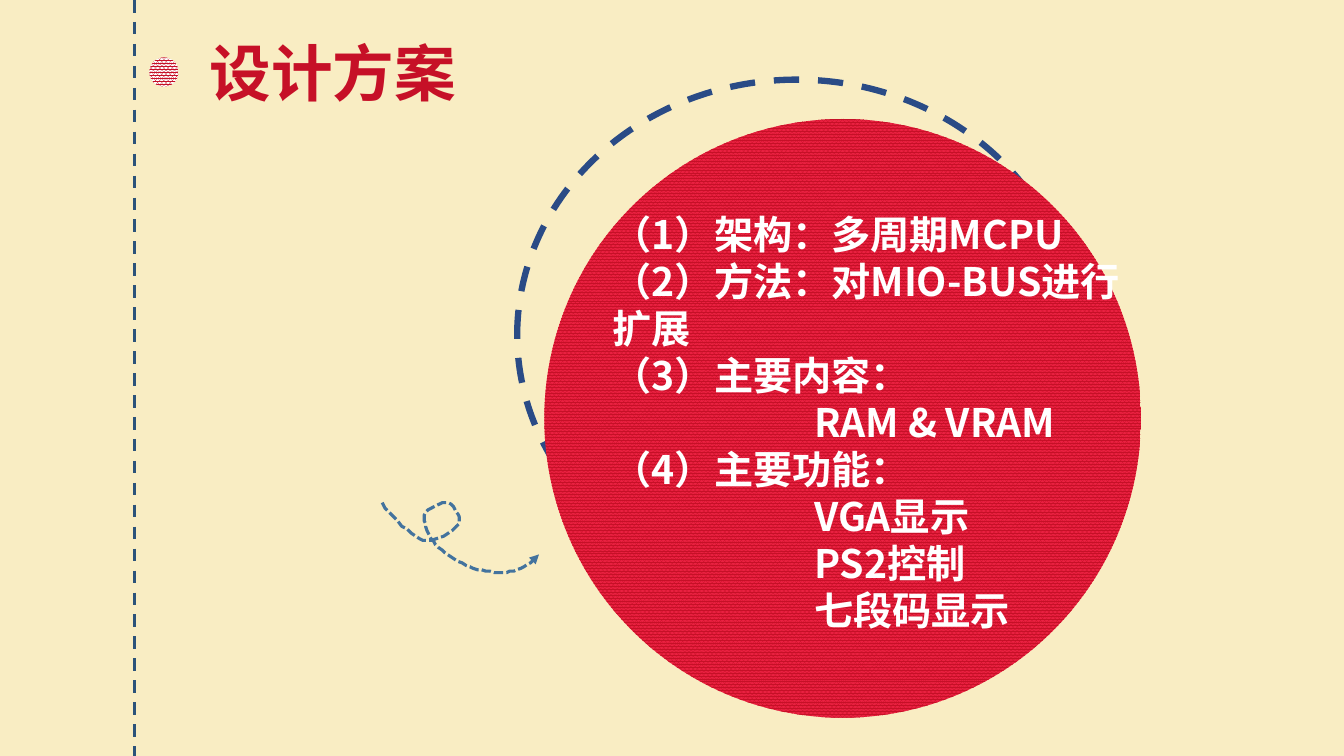
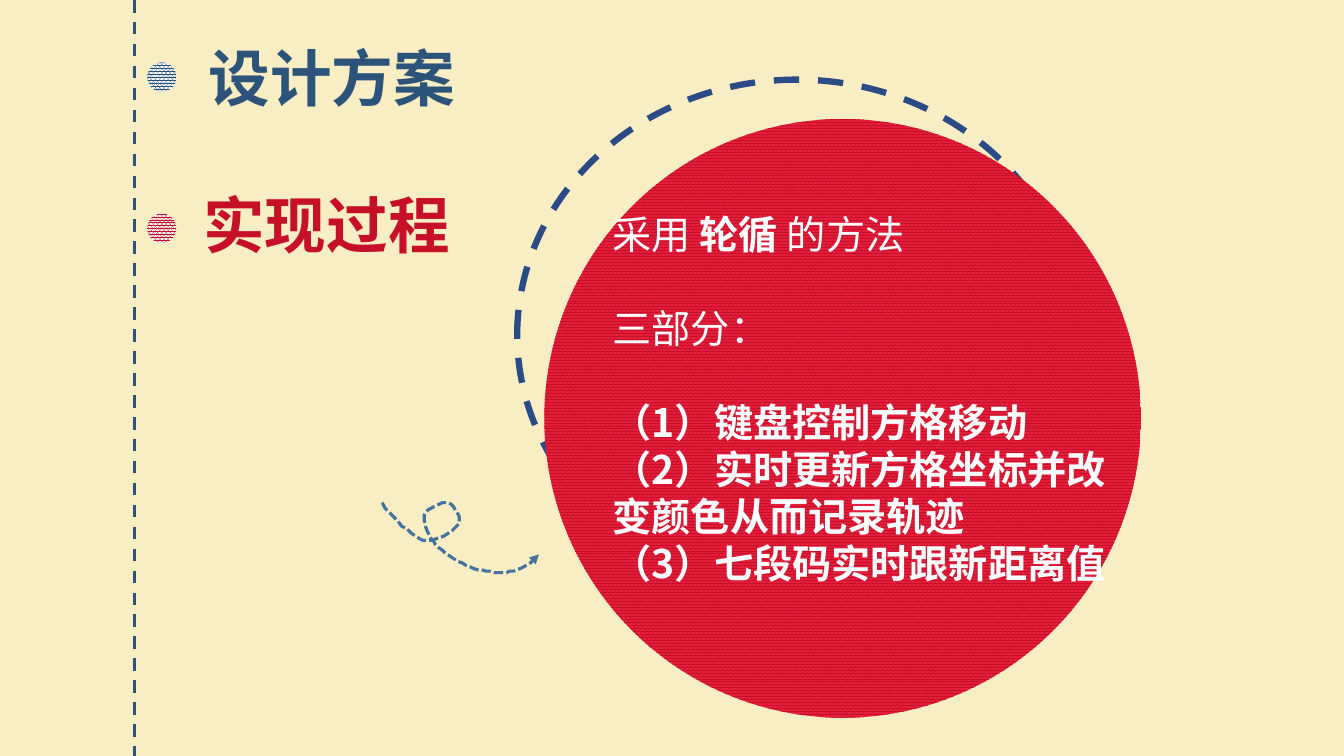
from pptx import Presentation
from pptx.dml.color import RGBColor
from pptx.enum import dml, shapes, text
from pptx.oxml import ns
from pptx.util import Pt
from lxml import etree

COLOURS = {
    "cream": "F9EDC3", "white": "FFFFFF", "crimson": "C61027",
    "scarlet": "EA2141", "navy": "2C537A", "ring": "2A4B86", "swirl": "43739E",
}
FONT = "Noto Sans CJK SC"
LINE_HEIGHT = 1.2
BODY_SIZE = 28
TITLE_SIZE = 44
SUB_INDENT = 144
DASH = dml.MSO_LINE.DASH
SWIRL_START = (272.9, 359.3)
SWIRL_CURVES = [
    [(280.8, 370.1), (293.8, 383), (302.4, 385.9)],
    [(311.8, 388.1), (324.7, 378.7), (327.6, 374.4)],
    [(330.5, 369.4), (324, 360.7), (320.4, 359.3)],
    [(316.8, 357.8), (306, 362.2), (303.8, 366.5)],
    [(302.4, 371.5), (304.6, 380.9), (309.6, 387.4)],
    [(314.6, 393.8), (326.2, 401.8), (335.5, 404.6)],
    [(344.2, 408.2), (356.4, 409.7), (364.3, 408.2)],
    [(373, 406.8), (381.6, 400.3), (385.2, 396)],
]


def rgb(name):
    """Return the named colour."""
    return RGBColor.from_string(COLOURS[name])


def style_line(line, colour, width, dash):
    """Give a line its colour, width and dash."""
    line.color.rgb = rgb(colour)
    line.width = Pt(width)
    line.dash_style = dash


def add_guide(page):
    """Draw the dashed vertical line at the left."""
    guide = page.shapes.add_connector(
        shapes.MSO_CONNECTOR.STRAIGHT, Pt(96), Pt(0), Pt(96), Pt(540))
    style_line(guide.line, "navy", 2.25, DASH)
    etree.SubElement(guide._element.spPr, ns.qn("a:effectLst"))


def add_circle(page, left, top, width, height):
    """Add a plain ellipse without a shadow."""
    circle = page.shapes.add_shape(
        shapes.MSO_SHAPE.OVAL, Pt(left), Pt(top), Pt(width), Pt(height))
    circle.shadow.inherit = False
    return circle


def add_woven_circle(page, left, top, width, height, front, back):
    """Add an ellipse with a dense two-colour pattern."""
    circle = add_circle(page, left, top, width, height)
    circle.line.fill.background()
    circle.fill.patterned()
    circle.fill.pattern = dml.MSO_PATTERN.PERCENT_80
    circle.fill.fore_color.rgb = rgb(front)
    circle.fill.back_color.rgb = rgb(back)


def add_ring(page):
    """Add the dashed ring behind the disc."""
    ring = add_circle(page, 369.4, 56.9, 399.6, 365)
    ring.fill.background()
    style_line(ring.line, "ring", 4.5, DASH)


def curve_points(start, curves, steps=10):
    """Return points along a chain of cubic curves."""
    points = []
    for first, second, end in curves:
        for step in range(1, steps + 1):
            t = step / steps
            weights = ((1 - t) ** 3, 3 * t * (1 - t) ** 2, 3 * t * t * (1 - t), t ** 3)
            corners = (start, first, second, end)
            points.append(tuple(
                sum(w * corner[axis] for w, corner in zip(weights, corners))
                for axis in (0, 1)))
        start = end
    return points


def add_swirl(page):
    """Add the looping dashed arrow."""
    builder = page.shapes.build_freeform(*SWIRL_START, scale=Pt(1))
    builder.add_line_segments(curve_points(SWIRL_START, SWIRL_CURVES), close=False)
    swirl = builder.convert_to_shape()
    swirl.shadow.inherit = False
    swirl.fill.background()
    style_line(swirl.line, "swirl", 2.25, dml.MSO_LINE.SQUARE_DOT)
    outline = swirl._element.spPr.find(ns.qn("a:ln"))
    outline.find(ns.qn("a:prstDash")).set("val", "sysDash")
    etree.SubElement(outline, ns.qn("a:tailEnd"), type="triangle")


def add_textbox(page, left, top, width, height):
    """Add a wrapping text box and return its text frame."""
    box = page.shapes.add_textbox(Pt(left), Pt(top), Pt(width), Pt(height))
    frame = box.text_frame
    frame.word_wrap = True
    frame.auto_size = text.MSO_AUTO_SIZE.SHAPE_TO_FIT_TEXT
    return frame


def add_span(para, words, size, colour, bold):
    """Add one run, with the same font for Latin and Chinese."""
    span = para.add_run()
    span.text = words
    span.font.size = Pt(size)
    span.font.bold = bold
    span.font.color.rgb = rgb(colour)
    span.font.name = FONT
    etree.SubElement(span.font._element, ns.qn("a:ea"), typeface=FONT)


def add_heading(page, words, colour, left, top, dot_left, dot_top):
    """Add a section title and its woven dot."""
    para = add_textbox(page, left, top, 229, 60.5).paragraphs[0]
    para.line_spacing = Pt(TITLE_SIZE * LINE_HEIGHT)
    add_span(para, words, TITLE_SIZE, colour, True)
    add_woven_circle(page, dot_left, dot_top, 21, 21, colour, "white")


def add_body(page, height, lines):
    """Fill the disc with lines of (spans, gap before, indent)."""
    frame = add_textbox(page, 430.6, 146.9, 393.1, height)
    for index, (spans, gap, indent) in enumerate(lines):
        para = frame.add_paragraph() if index else frame.paragraphs[0]
        para.line_spacing = Pt(BODY_SIZE * LINE_HEIGHT)
        para.space_before = Pt(gap)
        para._p.get_or_add_pPr().set("marL", str(Pt(indent)))
        for words, bold in spans:
            add_span(para, words, BODY_SIZE, "white", bold)


def item(words, bold=True, gap=0, indent=0):
    """Describe a body line of a single run."""
    return [(words, bold)], gap, indent


def add_page(deck):
    """Add a page with the guide, ring, swirl and disc."""
    page = deck.slides.add_slide(deck.slide_layouts[6])
    add_guide(page)
    add_ring(page)
    add_swirl(page)
    add_woven_circle(page, 388.8, 85, 426.2, 427.7, "crimson", "scarlet")
    return page


def add_design_page(deck):
    """Build the design plan page."""
    page = add_page(deck)
    add_body(page, 312.5, [
        item("（1）架构：多周期MCPU"),
        item("（2）方法：对MIO-BUS进行扩展"),
        item("（3）主要内容："),
        item("RAM & VRAM", indent=SUB_INDENT),
        item("（4）主要功能："),
        item("VGA显示", indent=SUB_INDENT),
        item("PS2控制", indent=SUB_INDENT),
        item("七段码显示", indent=SUB_INDENT),
    ])
    add_heading(page, "设计方案", "crimson", 142.6, 21.6, 106.6, 41)


def add_process_page(deck):
    """Build the implementation page."""
    page = add_page(deck)
    gap = BODY_SIZE * LINE_HEIGHT
    add_heading(page, "设计方案", "navy", 141.8, 25.2, 105.1, 44.6)
    add_heading(page, "实现过程", "crimson", 138.2, 130.3, 105.1, 152.6)
    add_body(page, 278.6, [
        ([("采用 ", False), ("轮循 ", True), ("的方法", False)], 0, 0),
        item("三部分：", bold=False, gap=gap),
        item("（1）键盘控制方格移动", gap=gap),
        item("（2）实时更新方格坐标并改变颜色从而记录轨迹"),
        item("（3）七段码实时跟新距离值"),
    ])


def main():
    """Build and save the deck."""
    deck = Presentation()
    deck.slide_width, deck.slide_height = Pt(960), Pt(540)
    backdrop = deck.slide_master.background.fill
    backdrop.solid()
    backdrop.fore_color.rgb = rgb("cream")
    add_design_page(deck)
    add_process_page(deck)
    deck.save("out.pptx")


main()
